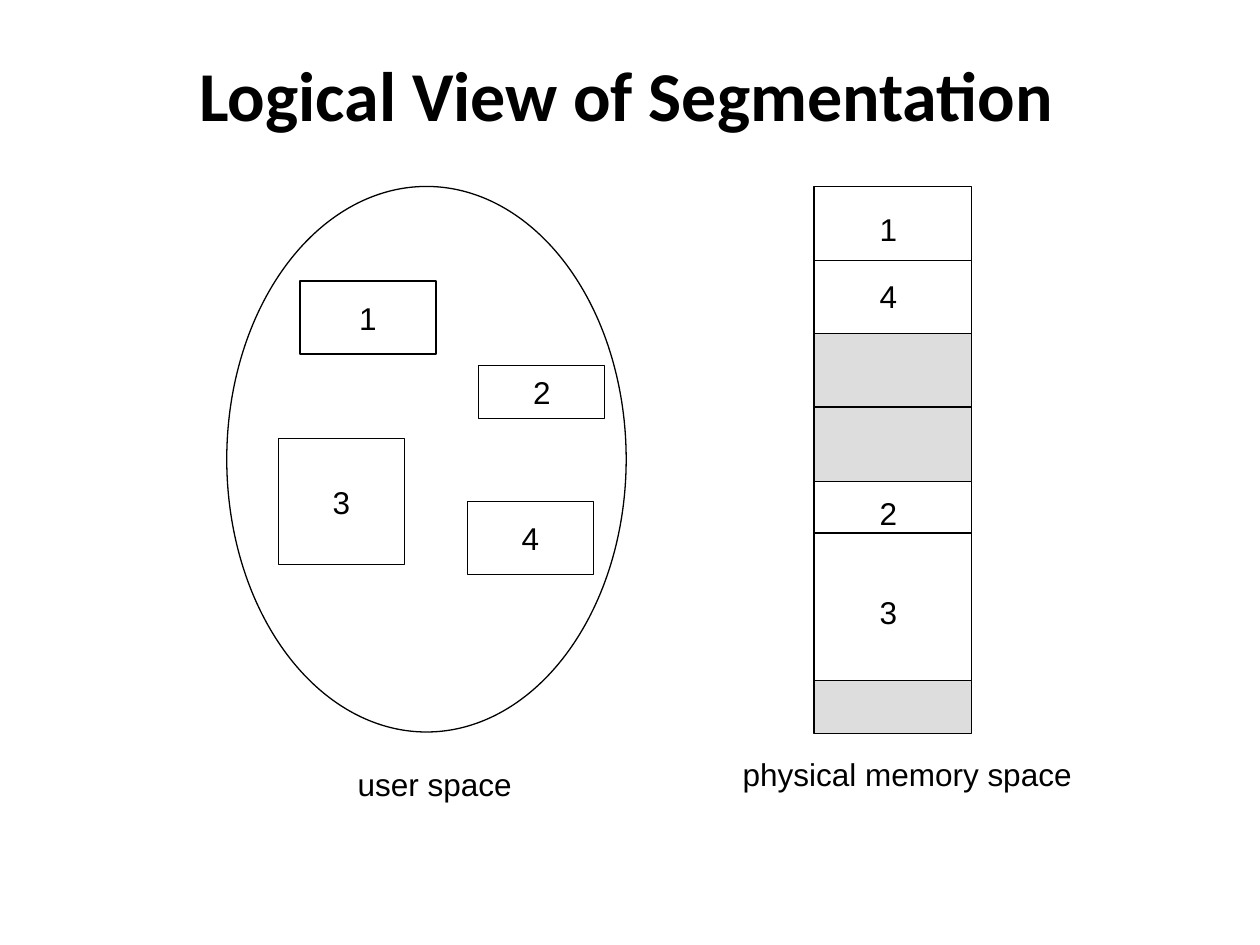
import pptx
import pptx.dml.color
import pptx.enum.shapes
import pptx.enum.text
import pptx.oxml
import pptx.oxml.ns
import pptx.util

Inches = pptx.util.Inches
Shapes = pptx.enum.shapes.MSO_SHAPE
BLACK, WHITE, GREY = "000000", "FFFFFF", "DDDDDD"
LINE_WIDTH = 0.75


def color(hex_value):
    return pptx.dml.color.RGBColor.from_string(hex_value)


def set_text(shape, text, size=18, font="Arial", bold=False, wrap=False):
    frame = shape.text_frame
    frame.word_wrap = wrap
    frame.vertical_anchor = pptx.enum.text.MSO_ANCHOR.MIDDLE
    paragraph = frame.paragraphs[0]
    paragraph.alignment = pptx.enum.text.PP_ALIGN.CENTER
    run = paragraph.add_run()
    run.text = text
    run.font.name = font
    run.font.size = pptx.util.Pt(size)
    run.font.bold = bold
    run.font.color.rgb = color(BLACK)


def add_label(slide, text, left, top, width, height=0.4, **text_format):
    box = slide.shapes.add_textbox(
        Inches(left), Inches(top), Inches(width), Inches(height))
    set_text(box, text, **text_format)


def add_outlined(slide, kind, left, top, width, height, fill=WHITE, text=None):
    shape = slide.shapes.add_shape(
        kind, Inches(left), Inches(top), Inches(width), Inches(height))
    shape.shadow.inherit = False
    shape.fill.solid()
    shape.fill.fore_color.rgb = color(fill)
    shape.line.color.rgb = color(BLACK)
    shape.line.width = pptx.util.Pt(LINE_WIDTH)
    if text:
        set_text(shape, text)


def add_divider(slide, left, top, width):
    line = slide.shapes.add_connector(
        pptx.enum.shapes.MSO_CONNECTOR.STRAIGHT,
        Inches(left), Inches(top), Inches(left + width), Inches(top))
    line.line.color.rgb = color(BLACK)
    line.line.width = pptx.util.Pt(LINE_WIDTH)
    line._element.spPr.append(pptx.oxml.parse_xml(
        "<a:effectLst %s/>" % pptx.oxml.ns.nsdecls("a")))


def add_user_space(slide):
    add_outlined(slide, Shapes.OVAL, 1.8, 1.48, 3.17, 4.33)
    segments = [
        ("1", 2.38, 2.23, 1.08, 0.58),
        ("3", 2.21, 3.48, 1, 1),
        ("2", 3.8, 2.9, 1, 0.42),
        ("4", 3.71, 3.98, 1, 0.58),
    ]
    for number, left, top, width, height in segments:
        add_outlined(slide, Shapes.RECTANGLE, left, top, width, height,
                     text=number)
    add_label(slide, "user space ", 2.73, 6.02, 1.51)


def add_physical_memory(slide):
    left, width = 6.46, 1.25
    # Blocks: top, height, fill, divider position
    blocks = [
        (1.48, 1.17, WHITE, 2.07),
        (2.65, 1.17, GREY, 3.23),
        (3.82, 1.58, WHITE, 4.23),
        (5.4, 0.42, GREY, None),
    ]
    for top, height, fill, divider in blocks:
        add_outlined(slide, Shapes.RECTANGLE, left, top, width, height, fill)
        if divider:
            add_divider(slide, left, divider, width)
    # Segment numbers
    for number, top in [("1", 1.62), ("4", 2.15), ("2", 3.87), ("3", 4.66)]:
        add_label(slide, number, 6.88, top, 0.34)
    add_label(slide, "physical memory space", 5.78, 5.94, 2.84)


def main():
    presentation = pptx.Presentation()
    presentation.slide_width = Inches(10)
    presentation.slide_height = Inches(7.5)
    slide = presentation.slides.add_slide(presentation.slide_layouts[6])
    add_label(slide, "Logical View of Segmentation", 0.47, 0.23, 9, 1.03,
              size=40, font="Calibri", bold=True, wrap=True)
    add_user_space(slide)
    add_physical_memory(slide)
    presentation.save("out.pptx")


main()
